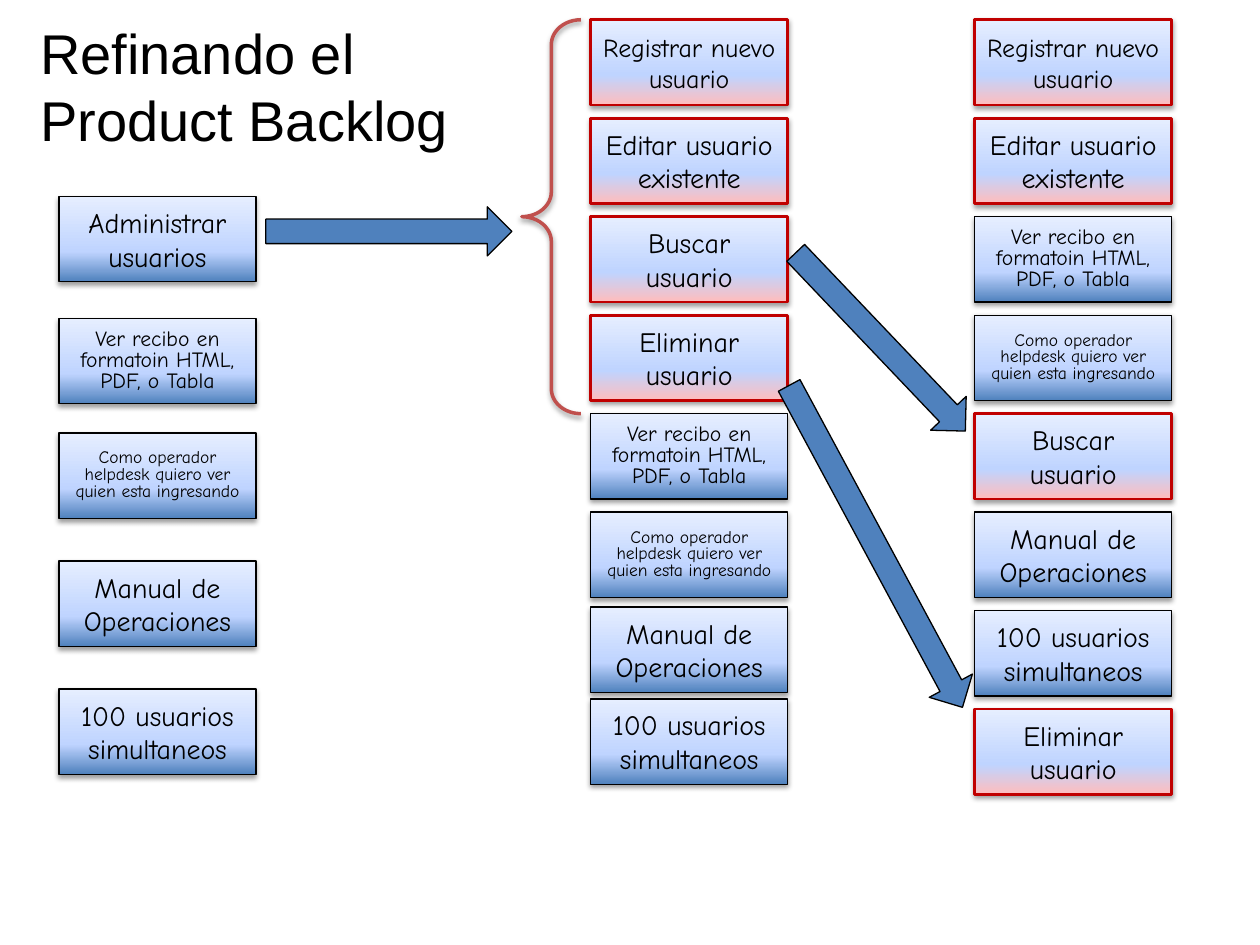
from dataclasses import dataclass

from lxml.etree import SubElement
from pptx import Presentation
from pptx.dml.color import RGBColor
from pptx.enum.shapes import MSO_SHAPE
from pptx.enum.text import MSO_ANCHOR, MSO_AUTO_SIZE, PP_ALIGN
from pptx.oxml.ns import qn
from pptx.util import Cm, Pt


@dataclass(frozen=True)
class Theme:
    title_font: str = "Arial"
    card_font: str = "Comic Neue"
    title_size: float = 32
    text: str = "000000"
    blue: str = "4F81BD"
    pink: str = "FFBDBD"
    middle: str = "BFD4FF"
    light: str = "E6EEFF"
    red: str = "C00000"
    brace: str = "C0504D"


THEME = Theme()

# Content: lines, type size, line spacing, part of the refined story
TITLE = "Refinando el\vProduct Backlog"
CARDS = {
    "manage": (["Administrar", "usuarios"], 16, 1, False),
    "register": (["Registrar nuevo usuario"], 14.8, 1, True),
    "edit": (["Editar usuario existente"], 16, 1, True),
    "search": (["Buscar usuario"], 16, 1, True),
    "delete": (["Eliminar usuario"], 16, 1, True),
    "receipt": (["Ver recibo en formatoin HTML, PDF, o Tabla"], 12.4, 0.8, False),
    "helpdesk": (["Como operador helpdesk quiero ver quien esta ingresando"], 10, 0.8, False),
    "manual": (["Manual de Operaciones"], 16, 1, False),
    "load": (["100 usuarios simultaneos"], 16, 1, False),
}

# Layout in centimetres
CARD_WIDTH, CARD_HEIGHT, CARD_MARGIN = 3.97, 1.72, 0.2
FIRST_TOP, PITCH = 0.4, 1.985
GRID = [FIRST_TOP + row * PITCH for row in range(8)]
COLUMNS = [
    (1.19, ["manage", "receipt", "helpdesk", "manual", "load"],
     [3.96, 6.42, 8.73, 11.31, 13.89]),
    (11.91, ["register", "edit", "search", "delete", "receipt", "helpdesk", "manual", "load"],
     GRID[:6] + [12.24, 14.09]),
    (19.65, ["register", "edit", "receipt", "helpdesk", "search", "manual", "load", "delete"],
     GRID),
]
ARROW_HEIGHT = 0.99
ARROWS = [  # left, top, length, rotation
    (5.36, 4.17, 4.96, 0),
    (15.27, 6.4, 4.96, 46.4),
    (13.97, 10.52, 7.37, 61.7),
]


def color(value):
    return RGBColor.from_string(value)


def add_shape(slide, kind, left, top, width, height, line_color, line_width):
    shape = slide.shapes.add_shape(kind, Cm(left), Cm(top), Cm(width), Cm(height))
    shape.shadow.inherit = False
    shape.line.color.rgb = color(line_color)
    shape.line.width = Pt(line_width)
    return shape


def add_shadow(shape):
    effects = shape._element.spPr.find(qn("a:effectLst"))
    shadow = SubElement(effects, qn("a:outerShdw"), blurRad=str(Pt(3.1)),
                        dist=str(Pt(1.6)), dir="5400000", rotWithShape="0")
    black = SubElement(shadow, qn("a:srgbClr"), val=THEME.text)
    SubElement(black, qn("a:alpha"), val="38000")


def set_gradient(shape, bottom):
    shape.fill.gradient()
    shape.fill.gradient_angle = 90
    stops = shape._element.spPr.find(qn("a:gradFill")).find(qn("a:gsLst"))
    for stop in list(stops):
        stops.remove(stop)
    for position, value in ((0, bottom), (35, THEME.middle), (100, THEME.light)):
        stop = SubElement(stops, qn("a:gs"), pos=str(position * 1000))
        SubElement(stop, qn("a:srgbClr"), val=value)


def add_card(slide, left, top, lines, size, spacing, refined):
    line_color, line_width = (THEME.red, 1.5) if refined else (THEME.text, 0.75)
    card = add_shape(slide, MSO_SHAPE.RECTANGLE, left, top, CARD_WIDTH, CARD_HEIGHT,
                     line_color, line_width)
    set_gradient(card, THEME.pink if refined else THEME.blue)
    add_shadow(card)
    frame = card.text_frame
    frame.word_wrap = True
    frame.margin_left = frame.margin_right = Cm(CARD_MARGIN)
    frame.vertical_anchor = MSO_ANCHOR.MIDDLE
    frame.text = "\n".join(lines)
    for paragraph in frame.paragraphs:
        paragraph.alignment = PP_ALIGN.CENTER
        paragraph.line_spacing = float(spacing)
        paragraph.font.name = THEME.card_font
        paragraph.font.size = Pt(size)
        paragraph.font.color.rgb = color(THEME.text)


def add_title(slide):
    title = slide.shapes.title
    title.left, title.top, title.width, title.height = Cm(0.56), Cm(0.83), Cm(11.35), Cm(1.8)
    frame = title.text_frame
    frame.text = TITLE
    frame.word_wrap = True
    frame.auto_size = MSO_AUTO_SIZE.NONE
    frame.vertical_anchor = MSO_ANCHOR.MIDDLE
    frame.margin_left = frame.margin_right = Cm(0.25)
    frame.margin_top = frame.margin_bottom = Cm(0.25)
    paragraph = frame.paragraphs[0]
    paragraph.alignment = PP_ALIGN.LEFT
    paragraph.font.name = THEME.title_font
    paragraph.font.size = Pt(THEME.title_size)
    paragraph.font.color.rgb = color(THEME.text)


def main():
    presentation = Presentation()
    presentation.slide_width, presentation.slide_height = Cm(25.4), Cm(19.05)
    slide = presentation.slides.add_slide(presentation.slide_layouts[5])
    add_title(slide)

    # Backlog columns
    for left, names, tops in COLUMNS:
        for name, top in zip(names, tops):
            add_card(slide, left, top, *CARDS[name])

    # Brace around the stories split from the first one
    brace = add_shape(slide, MSO_SHAPE.LEFT_BRACE, 10.52, FIRST_TOP, 1.19, 4 * PITCH,
                      THEME.brace, 2)
    brace.adjustments[0] = 0.42
    brace.fill.background()
    add_shadow(brace)

    # Arrows between columns
    for left, top, length, rotation in ARROWS:
        arrow = add_shape(slide, MSO_SHAPE.RIGHT_ARROW, left, top, length, ARROW_HEIGHT,
                          THEME.text, 0.75)
        arrow.fill.solid()
        arrow.fill.fore_color.rgb = color(THEME.blue)
        arrow.rotation = rotation

    presentation.save("out.pptx")


if __name__ == "__main__":
    main()
